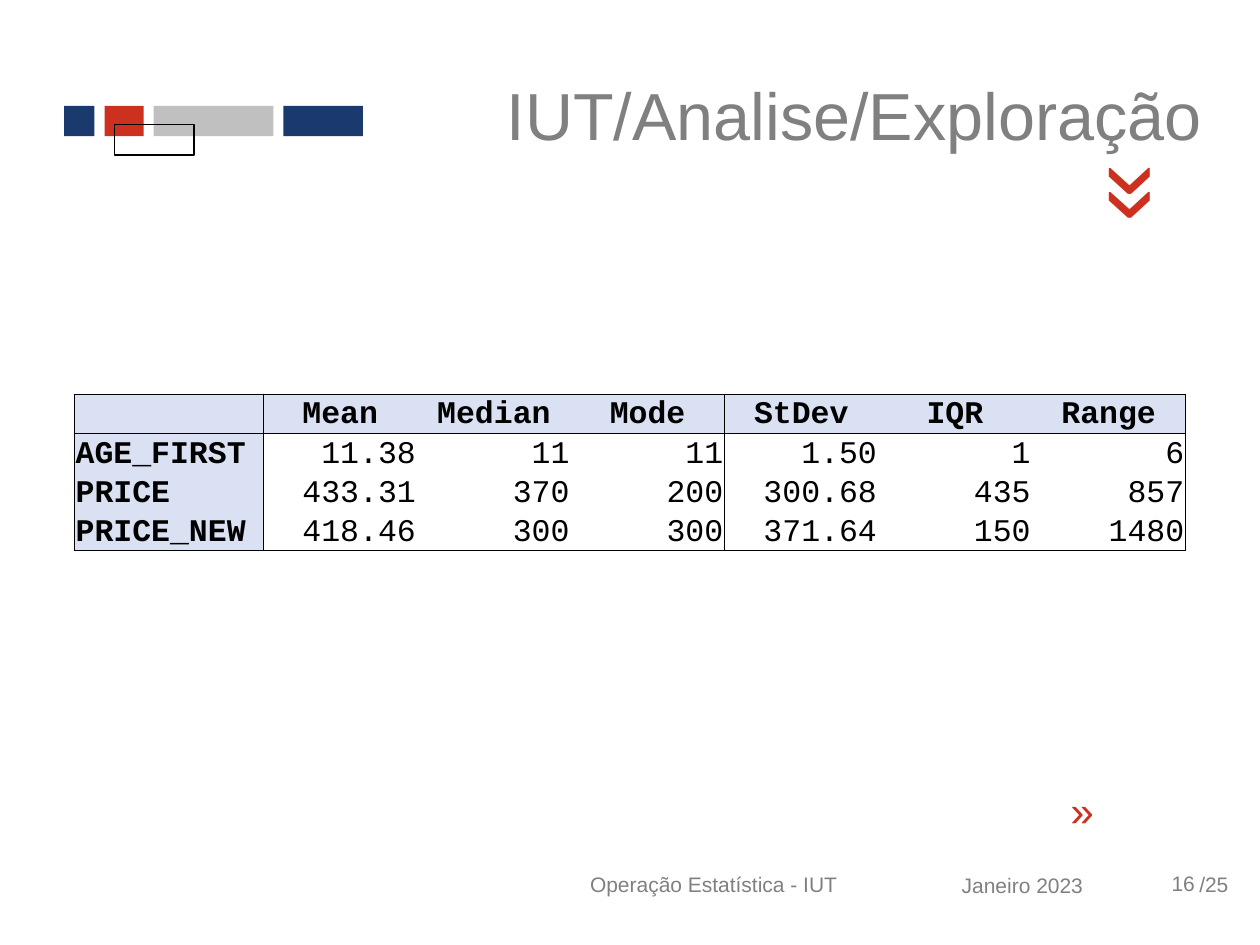
from pptx import Presentation
from pptx.dml.color import RGBColor
from pptx.enum import shapes as es, text as et
from pptx.oxml import parse_xml
from pptx.oxml.ns import nsdecls
from pptx.util import Inches, Pt

NAVY = RGBColor(0x1A, 0x3A, 0x6E)
RED = RGBColor(0xCC, 0x30, 0x1F)
SILVER = RGBColor(0xC0, 0xC0, 0xC0)
GRAY = RGBColor(0x80, 0x80, 0x80)
BLACK = RGBColor(0, 0, 0)
PALE = RGBColor(0xD9, 0xE1, 0xF2)

LEFT, MID, RIGHT = et.PP_ALIGN.LEFT, et.PP_ALIGN.CENTER, et.PP_ALIGN.RIGHT
TOP, CENTER = et.MSO_ANCHOR.TOP, et.MSO_ANCHOR.MIDDLE

ROWS = [
    ["", "Mean", "Median", "Mode", "StDev", "IQR", "Range"],
    ["AGE_FIRST", "11.38", "11", "11", "1.50", "1", "6"],
    ["PRICE", "433.31", "370", "200", "300.68", "435", "857"],
    ["PRICE_NEW", "418.46", "300", "300", "371.64", "150", "1480"],
]


def style(para, size, color, font="Arial", bold=False):
    for run in para.runs:
        run.font.name = font
        run.font.size = Pt(size)
        run.font.bold = bold
        run.font.color.rgb = color


def label(slide, box, words, size, color=GRAY, align=LEFT, anchor=CENTER, turn=0):
    item = slide.shapes.add_textbox(*map(Inches, box))
    item.rotation = turn
    frame = item.text_frame
    frame.word_wrap = True
    frame.vertical_anchor = anchor
    frame.text = words
    para = frame.paragraphs[0]
    para.alignment = align
    style(para, size, color)
    return para


def bar(slide, left, top, width, fill=None):
    item = slide.shapes.add_shape(es.MSO_SHAPE.RECTANGLE, Inches(left),
                                  Inches(top), Inches(width), Inches(0.24))
    item.shadow.inherit = False
    if fill is None:
        item.fill.background()
        item.line.color.rgb = BLACK
        item.line.width = Pt(0.75)
    else:
        item.fill.solid()
        item.fill.fore_color.rgb = fill
        item.line.fill.background()


def draw_bars(slide, left, top):
    x = left
    for width, fill in [(0.24, NAVY), (0.31, RED), (0.95, SILVER), (0.63, NAVY)]:
        bar(slide, x, top, width, fill)
        x += width + 0.08
    bar(slide, left + 0.4, top + 0.15, 0.63)


def draw_title(slide, left, top):
    label(slide, (left, top, 6.61, 0.93), "IUT/Analise/Exploração", 38, align=RIGHT)
    # Chevrons pointing down
    label(slide, (left + 5.55, top + 0.6, 0.55, 1.1), "«", 60, RED,
          anchor=TOP, turn=270)


def border(cell, side, width):
    paint = '<a:solidFill><a:srgbClr val="000000"/></a:solidFill>' if width else "<a:noFill/>"
    cell._tc.get_or_add_tcPr().append(parse_xml(
        f'<a:ln{side} {nsdecls("a")} w="{int(Pt(width))}">{paint}</a:ln{side}>'))


def draw_table(slide, left, top):
    high, wide = len(ROWS), len(ROWS[0])
    table = slide.shapes.add_table(high, wide, Inches(left), Inches(top),
                                   Inches(8.82), Inches(0.31 * high)).table
    table.first_row = table.horz_banding = False
    for c, col in enumerate(table.columns):
        col.width = Inches(1.22 if c else 1.5)
    for r, row in enumerate(ROWS):
        for c, words in enumerate(row):
            cell = table.cell(r, c)
            head = r == 0 or c == 0
            # Rules: outer frame, under the header, after columns 0 and 3
            border(cell, "L", {0: 1, 1: 1, 4: 0.5}.get(c, 0))
            border(cell, "R", {0: 1, 3: 0.5, wide - 1: 1}.get(c, 0))
            border(cell, "T", 1 if r < 2 else 0)
            border(cell, "B", 1 if r in (0, high - 1) else 0)
            if head:
                cell.fill.solid()
                cell.fill.fore_color.rgb = PALE
            else:
                cell.fill.background()
            cell.margin_left = cell.margin_right = cell.margin_top = Inches(0.01)
            cell.margin_bottom = 0
            cell.vertical_anchor = et.MSO_ANCHOR.BOTTOM
            if words:
                cell.text_frame.text = words
                para = cell.text_frame.paragraphs[0]
                para.alignment = MID if r == 0 else RIGHT if c else LEFT
                style(para, 18, BLACK, "Courier New", head)


def draw_footer(slide, left, top):
    label(slide, (left, top, 3.07, 0.55), "Operação Estatística - IUT", 12, align=MID)
    label(slide, (left + 3.07, top + 0.01, 1.83, 0.55), "Janeiro 2023", 12, align=MID)
    # Page number and total
    label(slide, (left + 5.07, top + 0.12, 0.44, 0.3), "16", 12, anchor=TOP)
    total = label(slide, (left + 4.97, top, 0.94, 0.55), "/25", 12)
    props = total._p.get_or_add_pPr()
    props.set("marL", str(Inches(0.32)))
    props.set("indent", "0")
    # Chevrons pointing right
    label(slide, (left + 4.14, top - 0.47, 0.51, 0.5), "«", 24, RED,
          anchor=TOP, turn=180)


def main():
    deck = Presentation()
    deck.slide_width, deck.slide_height = Inches(10), Inches(7.5)
    slide = deck.slides.add_slide(deck.slide_layouts[6])
    draw_bars(slide, 0.51, 0.84)
    draw_footer(slide, 4.13, 6.74)
    draw_title(slide, 3.03, 0.44)
    draw_table(slide, 0.59, 3.13)
    deck.save("out.pptx")


if __name__ == "__main__":
    main()
